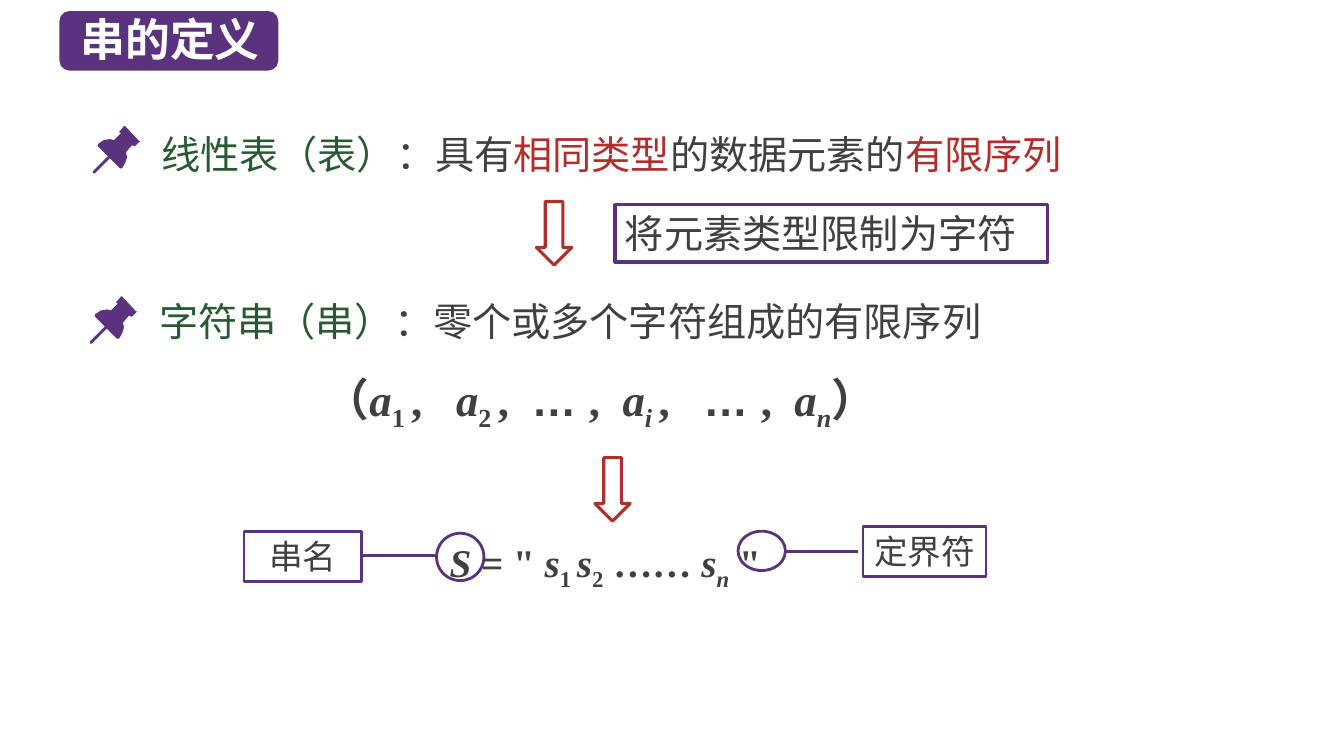
import pptx
import pptx.dml.color
import pptx.enum.lang
import pptx.enum.shapes
import pptx.enum.text
import pptx.oxml
import pptx.oxml.ns
import pptx.util

PX = 9144
COLORS = {
    "purple": "5A327D",
    "red": "B42D2D",
    "green": "285A32",
    "gray": "404040",
    "white": "FFFFFF",
}
SANS = "Noto Sans CJK SC"
SERIF = "Times New Roman"
SHAPES = pptx.enum.shapes.MSO_SHAPE
ITALIC = {"italic": True}
SUB = {"sub": True}
ITALIC_SUB = {"italic": True, "sub": True}
DOTS = {"name": "Arial"}
GREEN = {"color": "green"}
RED = {"color": "red"}

PIN_HEAD = [
    (46, 15), (32, 0), (31, 0), (27, 5), (26, 6), (28, 7), (21, 14),
    (17, 13), (11, 14), (5, 18), (5, 20), (27, 42), (29, 42), (32, 37),
    (34, 31), (33, 26), (39, 19), (41, 20), (42, 20), (46, 16), (47, 15),
]
PIN_NEEDLE = [(1, 47), (0, 47), (0, 45), (16, 29), (18, 29), (18, 31), (2, 47)]


def to_emu(*lengths):
    return [length * PX for length in lengths]


def rgb(color):
    return pptx.dml.color.RGBColor.from_string(COLORS[color])


def add_run(paragraph, text, size=28, name=SERIF, color="gray", bold=False,
            italic=False, sub=False):
    run = paragraph.add_run()
    run.text = text
    font = run.font
    font.size = pptx.util.Pt(size)
    font.bold = bold
    font.italic = italic
    font.color.rgb = rgb(color)
    font.language_id = pptx.enum.lang.MSO_LANGUAGE_ID.SIMPLIFIED_CHINESE
    font.name = name
    properties = run._r.get_or_add_rPr()
    if sub:
        properties.set("baseline", "-25000")
    east_asian = pptx.oxml.parse_xml(
        f'<a:ea {pptx.oxml.ns.nsdecls("a")} typeface="{SANS}"/>')
    properties.find(pptx.oxml.ns.qn("a:latin")).addnext(east_asian)


def write_text(shape, runs, centered=False, line_spacing=None, **style):
    frame = shape.text_frame
    frame.word_wrap = True
    paragraph = frame.paragraphs[0]
    if centered:
        frame.vertical_anchor = pptx.enum.text.MSO_ANCHOR.MIDDLE
        paragraph.alignment = pptx.enum.text.PP_ALIGN.CENTER
    else:
        frame.vertical_anchor = pptx.enum.text.MSO_ANCHOR.TOP
        frame.auto_size = pptx.enum.text.MSO_AUTO_SIZE.SHAPE_TO_FIT_TEXT
        paragraph.alignment = pptx.enum.text.PP_ALIGN.LEFT
    paragraph.line_spacing = line_spacing
    for text, changes in runs:
        add_run(paragraph, text, **{**style, **changes})


def add_text(slide, box, runs, **style):
    write_text(slide.shapes.add_textbox(*to_emu(*box)), runs, **style)


def fill_solid(shape, color):
    shape.shadow.inherit = False
    shape.fill.solid()
    shape.fill.fore_color.rgb = rgb(color)
    shape.line.fill.background()


def add_outline(slide, kind, box, color="purple", width=2):
    shape = slide.shapes.add_shape(kind, *to_emu(*box))
    shape.shadow.inherit = False
    shape.fill.background()
    shape.line.color.rgb = rgb(color)
    shape.line.width = pptx.util.Pt(width)
    return shape


def add_arrow(slide, left, top):
    arrow = add_outline(slide, SHAPES.RIGHT_ARROW, (left, top, 63, 35), "red", 2.25)
    arrow.rotation = 90


def add_label(slide, box, text):
    label = add_outline(slide, SHAPES.RECTANGLE, box)
    write_text(label, [(text, {})], centered=True, size=24, name=SANS)


def add_link(slide, left, right, y):
    link = slide.shapes.add_connector(
        pptx.enum.shapes.MSO_CONNECTOR.STRAIGHT, *to_emu(left, y, right, y))
    link.line.color.rgb = rgb("purple")
    link.line.width = pptx.util.Pt(2)
    link._element.spPr.append(
        pptx.oxml.parse_xml(f'<a:effectLst {pptx.oxml.ns.nsdecls("a")}/>'))


def add_pin(slide, left, top):
    for outline in (PIN_HEAD, PIN_NEEDLE):
        points = [(left + x, top + y) for x, y in outline]
        builder = slide.shapes.build_freeform(*points[0], scale=PX)
        builder.add_line_segments(points[1:], close=True)
        fill_solid(builder.convert_to_shape(), "purple")


def add_definitions(slide):
    limit = add_outline(slide, SHAPES.RECTANGLE, (610, 203, 429, 57), width=2.25)
    write_text(limit, [("将元素类型限制为字符", {})])
    add_arrow(slide, 518, 214)
    add_pin(slide, 92, 125)
    add_text(slide, (150, 124, 953, 57), [
        ("线性表（表）", GREEN), ("：具有", {}), ("相同类型", RED),
        ("的数据元素的", {}), ("有限序列", RED)])
    add_pin(slide, 89, 294)
    add_text(slide, (148, 290, 953, 57), [
        ("字符串（串）", {"color": "green", "name": SANS}),
        ("：零个或多个字符组成的有限序列", {})])


def add_sequence(slide):
    add_text(slide, (312, 364, 677, 64), [
        ("（", {}), ("a", ITALIC), ("1 ", SUB), (",", {}),
        ("   a", ITALIC), ("2 ", SUB), (",  ", {}), ("… ", DOTS), (",  ", {}),
        ("a", ITALIC), ("i ", ITALIC_SUB), (",   ", {}), ("… ", DOTS), (",  ", {}),
        ("a", ITALIC), ("n", ITALIC_SUB), ("）", {})], size=32, bold=True)
    add_arrow(slide, 576, 468)


def add_string_form(slide):
    add_outline(slide, SHAPES.OVAL, (433, 529, 47, 47))
    add_link(slide, 360, 431, 551)
    add_label(slide, (242, 527, 117, 50), "串名")
    add_outline(slide, SHAPES.OVAL, (732, 527, 47, 39))
    add_link(slide, 780, 851, 547)
    add_label(slide, (856, 522, 122, 50), "定界符")
    add_text(slide, (436, 524, 429, 58), [
        ("S ", ITALIC), ("= \" ", {}), ("s", ITALIC), ("1 ", SUB),
        ("s", ITALIC), ("2", SUB), (" …… ", {}), ("s", ITALIC),
        ("n", ITALIC_SUB), (" \"", {})], bold=True, line_spacing=1.1)


def main():
    presentation = pptx.Presentation()
    presentation.slide_width, presentation.slide_height = to_emu(1333, 750)
    slide = presentation.slides.add_slide(presentation.slide_layouts[6])
    badge = slide.shapes.add_shape(SHAPES.ROUNDED_RECTANGLE, *to_emu(59, 11, 217, 59))
    fill_solid(badge, "purple")
    add_text(slide, (70, 7, 209, 64), [("串的定义", {})],
             size=32, name=SANS, color="white", bold=True)
    add_definitions(slide)
    add_sequence(slide)
    add_string_form(slide)
    presentation.save("out.pptx")


if __name__ == "__main__":
    main()
